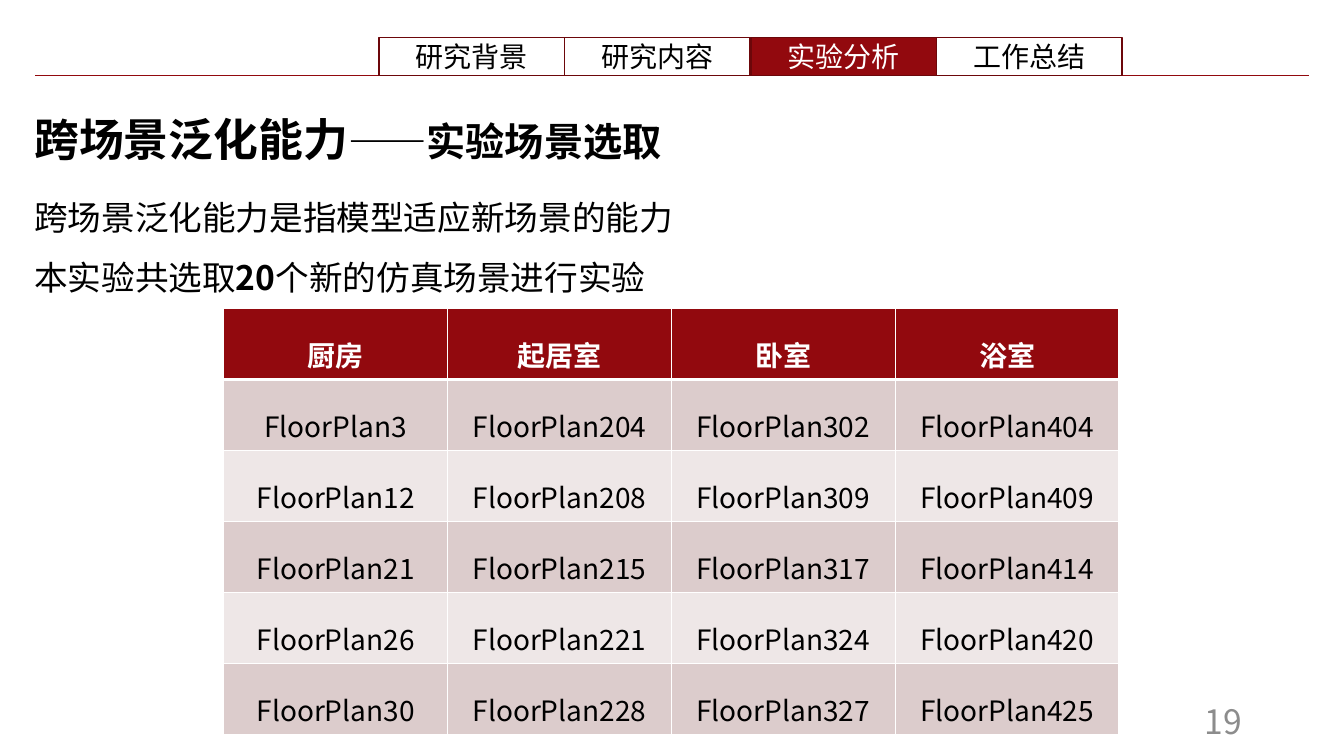
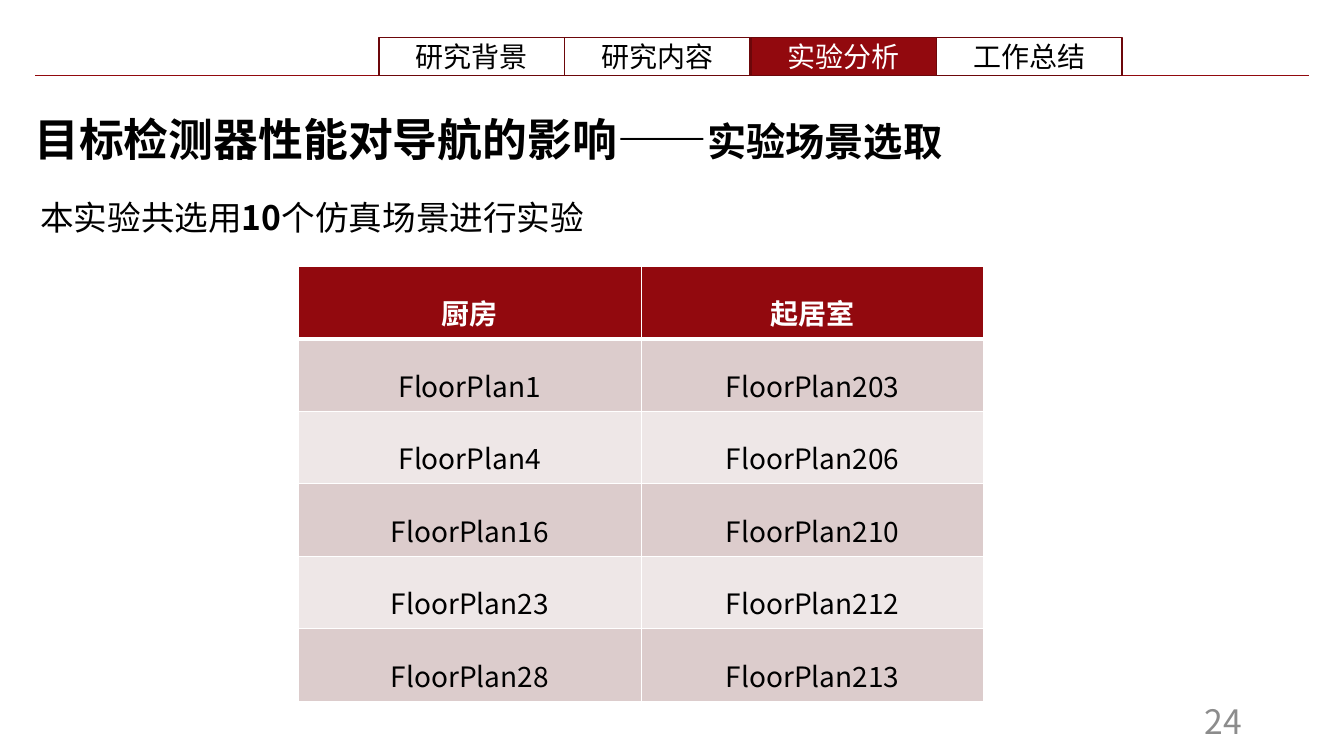
from lxml.etree import SubElement
from pptx import Presentation
from pptx.dml.color import RGBColor
from pptx.enum.shapes import MSO_CONNECTOR, MSO_SHAPE
from pptx.enum.text import MSO_ANCHOR, MSO_AUTO_SIZE, PP_ALIGN
from pptx.oxml.ns import qn
from pptx.util import Emu, Pt

EMU_PER_PX = 9144  # 100 px to the inch
FONT = "Noto Sans CJK SC"
COLORS = {
    "red": "92090E",
    "dark_red": "6C070A",
    "black": "000000",
    "white": "FFFFFF",
    "gray": "8C8C8C",
    "band_dark": "DCCCCC",
    "band_light": "EEE7E7",
}
TABS = ["研究背景", "研究内容", "实验分析", "工作总结"]
ACTIVE_TAB = "实验分析"


def px(length):
    return Emu(length * EMU_PER_PX)


def box(left, top, width, height):
    return px(left), px(top), px(width), px(height)


def rgb(name):
    return RGBColor.from_string(COLORS[name])


class Deck:
    """Holds the shared style and the slide being built."""

    def __init__(self):
        self.presentation = Presentation()
        self.presentation.slide_width = px(1333)
        self.presentation.slide_height = px(750)
        self.slide = None

    def new_slide(self, number):
        layout = self.presentation.slide_layouts[1]
        self.slide = self.presentation.slides.add_slide(layout)
        self.navigation()
        self.page_number(number)

    def format_runs(self, paragraph, size, color="black", bold=None):
        for run in paragraph.runs:
            font = run.font
            font.name = FONT
            font.size = Pt(size)
            font.color.rgb = rgb(color)
            if bold is not None:
                font.bold = bold
            properties = run._r.get_or_add_rPr()
            SubElement(properties, qn("a:ea"), typeface=FONT)

    def place(self, shape, bounds, anchor=MSO_ANCHOR.TOP):
        shape.left, shape.top, shape.width, shape.height = box(*bounds)
        frame = shape.text_frame
        frame.word_wrap = True
        frame.auto_size = MSO_AUTO_SIZE.NONE
        frame.vertical_anchor = anchor
        return frame

    # Header band: rule and section tabs
    def navigation(self):
        rule = self.slide.shapes.add_connector(
            MSO_CONNECTOR.STRAIGHT, px(35), px(75), px(1298), px(75))
        rule.line.color.rgb = rgb("red")
        rule.line.width = Pt(0.5)
        SubElement(rule._element.spPr, qn("a:effectLst"))
        for index, name in enumerate(TABS):
            self.tab(name, 376 + index * 369 // 2, name == ACTIVE_TAB)

    def tab(self, name, left, active):
        shape = self.slide.shapes.add_shape(
            MSO_SHAPE.RECTANGLE, *box(left, 37, 184, 38))
        shape.shadow.inherit = False
        shape.line.color.rgb = rgb("dark_red")
        shape.line.width = Pt(1)
        if active:
            shape.fill.solid()
            shape.fill.fore_color.rgb = rgb("red")
        else:
            shape.fill.background()
        frame = shape.text_frame
        frame.text = name
        frame.vertical_anchor = MSO_ANCHOR.MIDDLE
        paragraph = frame.paragraphs[0]
        paragraph.alignment = PP_ALIGN.CENTER
        self.format_runs(paragraph, 20, "white" if active else "black")

    def page_number(self, number):
        bounds = (942, 695, 300, 40)
        shape = self.slide.shapes.add_textbox(*box(*bounds))
        frame = self.place(shape, bounds, MSO_ANCHOR.MIDDLE)
        frame.text = str(number)
        frame.paragraphs[0].alignment = PP_ALIGN.RIGHT
        self.format_runs(frame.paragraphs[0], 24, "gray")

    # Title: a large main part and a smaller topic
    def title(self, main, topic):
        frame = self.place(self.slide.shapes.title, (24, 106, 1074, 64))
        paragraph = frame.paragraphs[0]
        paragraph.alignment = PP_ALIGN.LEFT
        for text in (main, topic):
            paragraph.add_run().text = text
        self.format_runs(paragraph, 32, bold=True)
        paragraph.runs[1].font.size = Pt(28)

    # Body: unbulleted lines; every second part of a line is bold
    def body(self, left, width, lines):
        frame = self.place(self.slide.placeholders[1],
                           (left, 170, width, 4 + 60 * len(lines)))
        for index, parts in enumerate(lines):
            paragraph = frame.add_paragraph() if index else frame.paragraphs[0]
            properties = paragraph._p.get_or_add_pPr()
            properties.set("marL", "0")
            properties.set("indent", "0")
            SubElement(properties, qn("a:buNone"))
            paragraph.space_before = Pt(0)
            paragraph.line_spacing = 1.5
            for part in parts:
                paragraph.add_run().text = part
            self.format_runs(paragraph, 24)
            for run in paragraph.runs[1::2]:
                run.font.bold = True

    # Table: red header row, then alternating bands
    def table(self, left, top, column_width, row_height, rows):
        columns = len(rows[0])
        bounds = box(left, top, column_width * columns, row_height * len(rows))
        table = self.slide.shapes.add_table(len(rows), columns, *bounds).table
        for row_index, row in enumerate(rows):
            table.rows[row_index].height = px(row_height)
            for column_index, text in enumerate(row):
                self.cell(table.cell(row_index, column_index), text, row_index)

    def cell(self, cell, text, row_index):
        header = row_index == 0
        self.borders(cell, top=3 if row_index == 1 else 1,
                     bottom=3 if header else 1)
        band = "band_dark" if row_index % 2 else "band_light"
        cell.fill.solid()
        cell.fill.fore_color.rgb = rgb("red" if header else band)
        cell.margin_left = cell.margin_right = px(7)
        cell.margin_top = cell.margin_bottom = px(5)
        cell.vertical_anchor = MSO_ANCHOR.MIDDLE
        cell.text_frame.text = text
        paragraph = cell.text_frame.paragraphs[0]
        paragraph.alignment = PP_ALIGN.CENTER
        paragraph.line_spacing = 1.5
        self.format_runs(paragraph, 20, "white" if header else "black", header)

    def borders(self, cell, top, bottom):
        properties = cell._tc.get_or_add_tcPr()
        widths = {"lnL": 1, "lnR": 1, "lnT": top, "lnB": bottom}
        for side, width in widths.items():
            line = SubElement(properties, qn(f"a:{side}"), w=str(Pt(width)))
            fill = SubElement(line, qn("a:solidFill"))
            SubElement(fill, qn("a:srgbClr"), val=COLORS["white"])


def floor_plans(columns):
    """Turns scene numbers listed by room into table rows."""
    names = [[f"FloorPlan{number}" for number in numbers]
             for numbers in columns.values()]
    return [list(columns), *zip(*names)]


def main():
    deck = Deck()

    # Generalisation across scenes
    deck.new_slide(19)
    deck.title("跨场景泛化能力", "——实验场景选取")
    deck.body(24, 1288, [
        ["跨场景泛化能力是指模型适应新场景的能力"],
        ["本实验共选取", "20", "个新的仿真场景进行实验"],
    ])
    deck.table(222, 306, 222, 68, floor_plans({
        "厨房": [3, 12, 21, 26, 30],
        "起居室": [204, 208, 215, 221, 228],
        "卧室": [302, 309, 317, 324, 327],
        "浴室": [404, 409, 414, 420, 425],
    }))

    # Effect of the object detector
    deck.new_slide(24)
    deck.title("目标检测器性能对导航的影响——", "实验场景选取")
    deck.body(30, 1212, [["本实验共选用", "10", "个仿真场景进行实验"]])
    deck.table(296, 264, 340, 72, floor_plans({
        "厨房": [1, 4, 16, 23, 28],
        "起居室": [203, 206, 210, 212, 213],
    }))

    deck.presentation.save("out.pptx")


if __name__ == "__main__":
    main()
